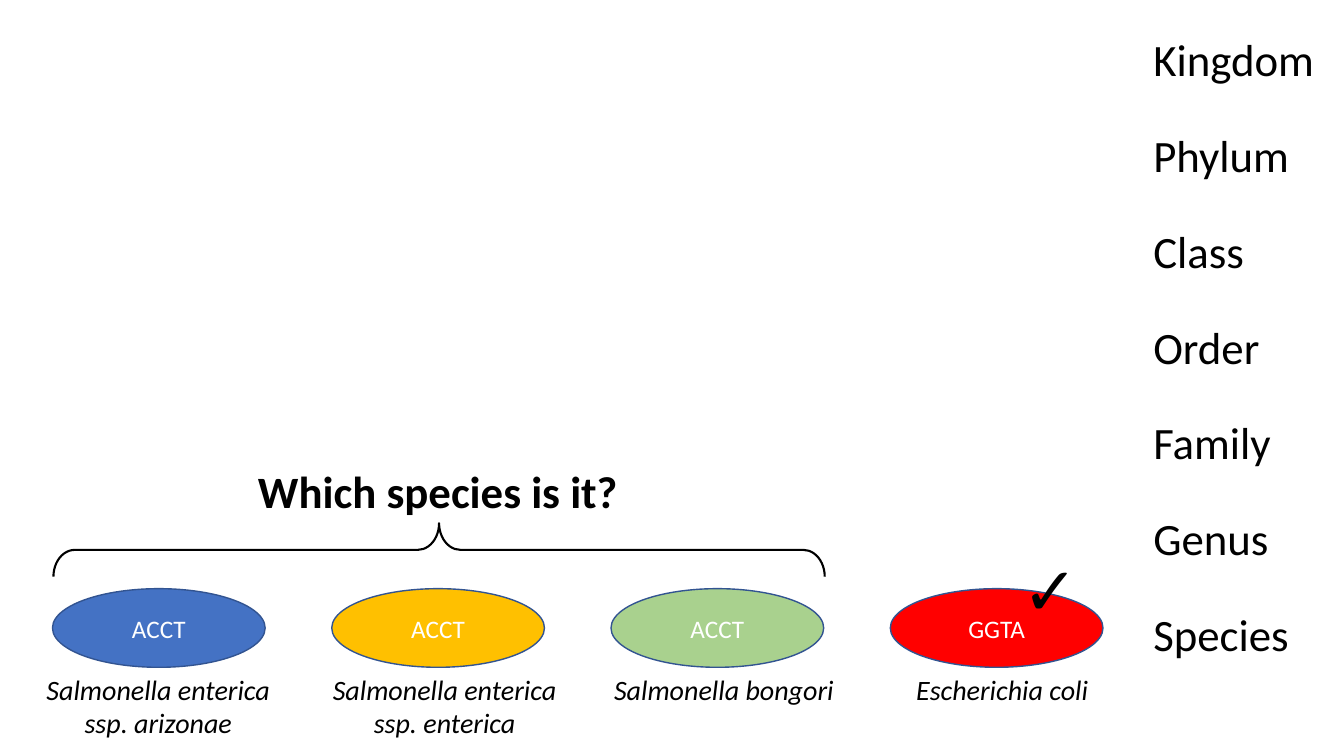
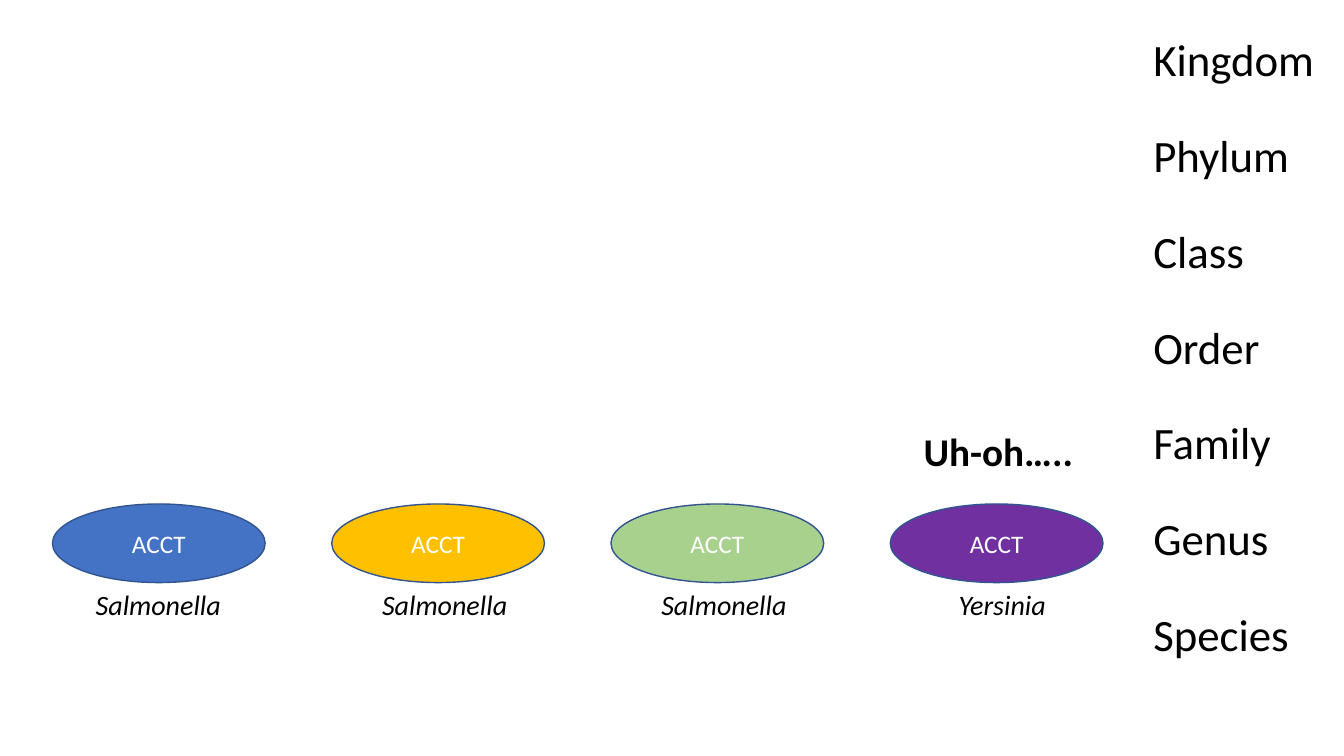
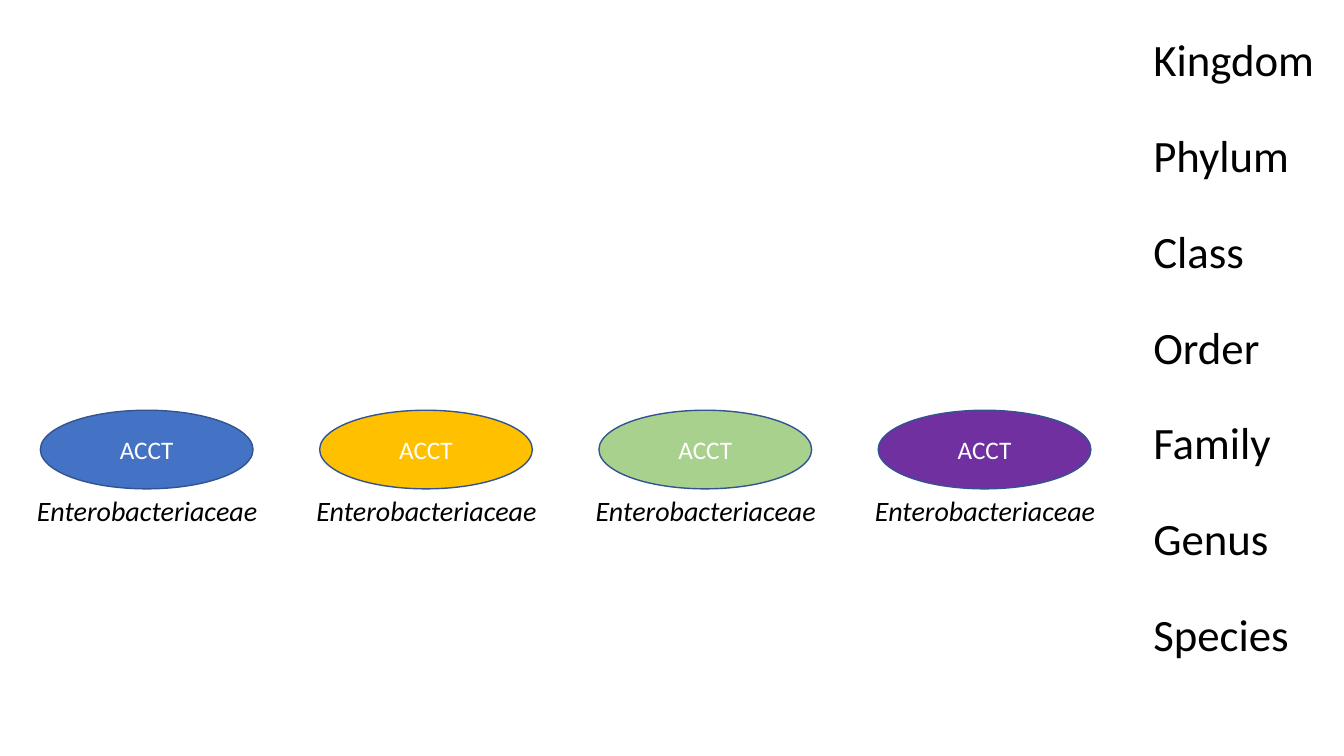
from pptx import Presentation, util as u
from pptx.dml.color import RGBColor
from pptx.enum import shapes, text

Inches = u.Inches
MID, LEFT, RIGHT = text.PP_ALIGN.CENTER, text.PP_ALIGN.LEFT, text.PP_ALIGN.RIGHT
BLACK, WHITE, EDGE = "000000", "FFFFFF", "325491"
BLUE, GOLD, GREEN, RED, PURPLE = "4472C4", "FFC000", "A9D18E", "FF0000", "7030A0"
RANKS = ["Kingdom", "Phylum", "Class", "Order", "Family", "Genus", "Species"]
STEP, WIDE, HIGH = 2.77, 2.11, 0.78
SPACE = {"space_before": u.Pt(6), "space_after": u.Pt(6)}


def color(code):
    return RGBColor.from_string(code)


def write(shape, words, size, code=BLACK, align=LEFT, hang=None, **style):
    """Put one styled paragraph in a shape; hang is its left margin."""
    frame = shape.text_frame
    frame.word_wrap = True
    para = frame.paragraphs[0]
    para.text = words
    para.alignment = align
    if hang is not None:
        for name, value in SPACE.items():
            setattr(para, name, value)
        props = para._p.get_or_add_pPr()
        props.set("marL", str(Inches(hang)))
        props.set("indent", str(Inches(-0.81)))
    font = para.runs[0].font
    font.color.rgb = color(code)
    for name, value in {"name": "Calibri", "size": u.Pt(size), **style}.items():
        setattr(font, name, value)


deck = Presentation()
deck.slide_width, deck.slide_height = Inches(13.33), Inches(7.5)

# Each slide: first oval's left, row top, label lefts, label widths,
# and the ovals as (fill, sequence, label)
rows = [
    (0.52, 5.84, [0.23, 3.07, 5.84, 8.79], [2.68, 2.68, 2.68, 2.3], [
        (BLUE, "ACCT", "Salmonella enterica ssp. arizonae"),
        (GOLD, "ACCT", "Salmonella enterica ssp. enterica"),
        (GREEN, "ACCT", "Salmonella bongori"),
        (RED, "GGTA", "Escherichia coli")]),
    (0.52, 5, [0.23, 3.07, 5.84, 8.79], [2.68, 2.68, 2.68, 2.3], [
        (BLUE, "ACCT", "Salmonella"),
        (GOLD, "ACCT", "Salmonella"),
        (GREEN, "ACCT", "Salmonella"),
        (PURPLE, "ACCT", "Yersinia")]),
    (0.4, 4.07, [0.26 + STEP * n for n in range(4)], [2.4] * 4, [
        (fill, "ACCT", "Enterobacteriaceae")
        for fill in (BLUE, GOLD, GREEN, PURPLE)]),
]

for left, top, spots, widths, cells in rows:
    slide = deck.slides.add_slide(deck.slide_layouts[6])

    # Ovals with their labels
    for n, (fill, bases, label) in enumerate(cells):
        oval = slide.shapes.add_shape(
            shapes.MSO_SHAPE.OVAL, Inches(left + STEP * n), Inches(top),
            Inches(WIDE), Inches(HIGH))
        oval.shadow.inherit = False
        oval.fill.solid()
        oval.fill.fore_color.rgb = color(fill)
        oval.line.color.rgb = color(EDGE)
        oval.line.width = u.Pt(1)
        oval.text_frame.vertical_anchor = text.MSO_ANCHOR.MIDDLE
        write(oval, bases, 18, WHITE, MID)
        box = slide.shapes.add_textbox(
            Inches(spots[n]), Inches(top + HIGH), Inches(widths[n]), Inches(0.53))
        write(box, label, 20, align=MID, hang=0, italic=True)

    # Ranks down the right side
    for n, rank in enumerate(RANKS):
        box = slide.shapes.add_textbox(
            Inches(11.34), Inches(0.27 + 0.95 * n), Inches(2), Inches(0.53))
        write(box, rank, 32, hang=0.81)

# Brace over the three matching ovals
first, second = deck.slides[0], deck.slides[1]
brace = first.shapes.add_shape(
    shapes.MSO_SHAPE.RIGHT_BRACE, Inches(4.09), Inches(1.63), Inches(0.53), Inches(7.65))
brace.rotation = 270
brace.adjustments[0] = 0.4
brace.shadow.inherit = False
brace.fill.background()
brace.line.color.rgb = color(BLACK)
brace.line.width = u.Pt(1.5)

# Bold remarks
for slide, words, size, align, spot in [
        (first, "✓", 48, LEFT, (10.04, 5.39, 0.83, 0.91)),
        (first, "Which species is it?", 32, MID, (2.06, 4.55, 4.57, 0.64)),
        (second, "Uh-oh…..", 28, RIGHT, (5.84, 4.19, 4.9, 0.57))]:
    box = slide.shapes.add_textbox(*map(Inches, spot))
    write(box, words, size, align=align, bold=True)

deck.save("out.pptx")
